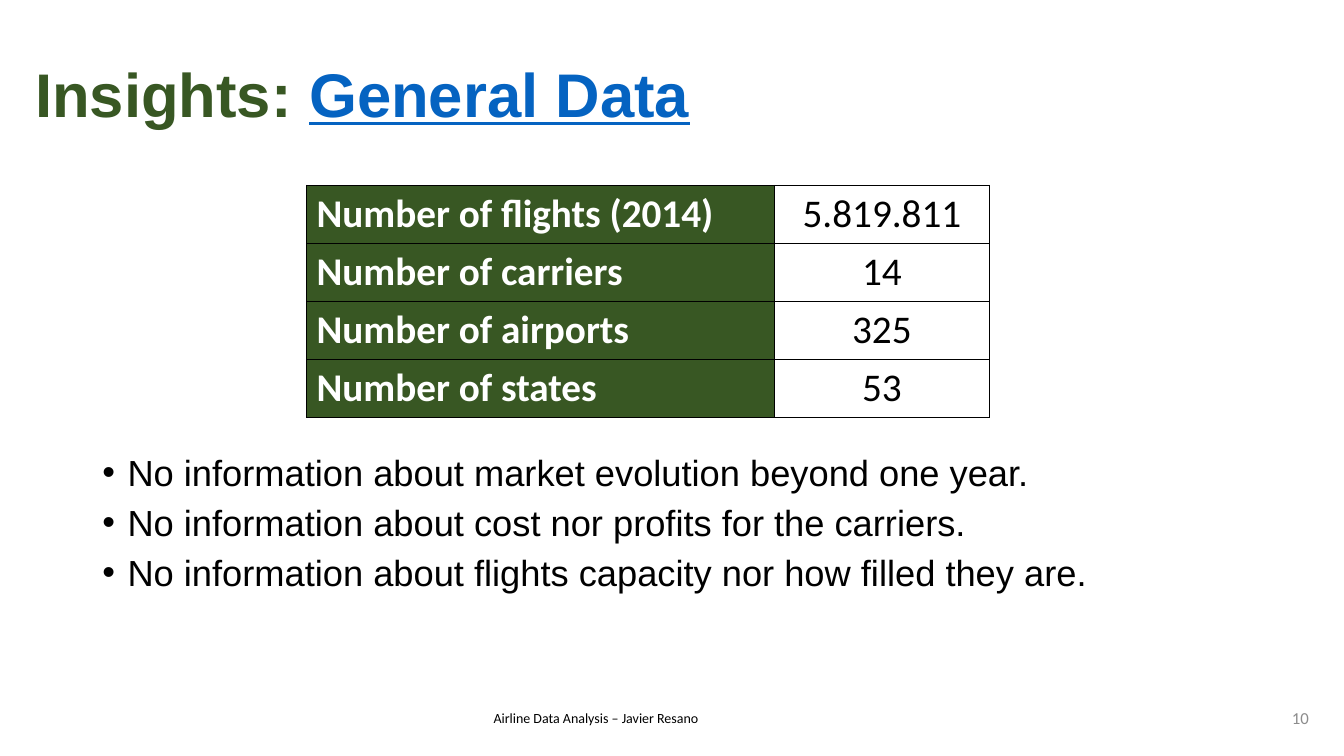
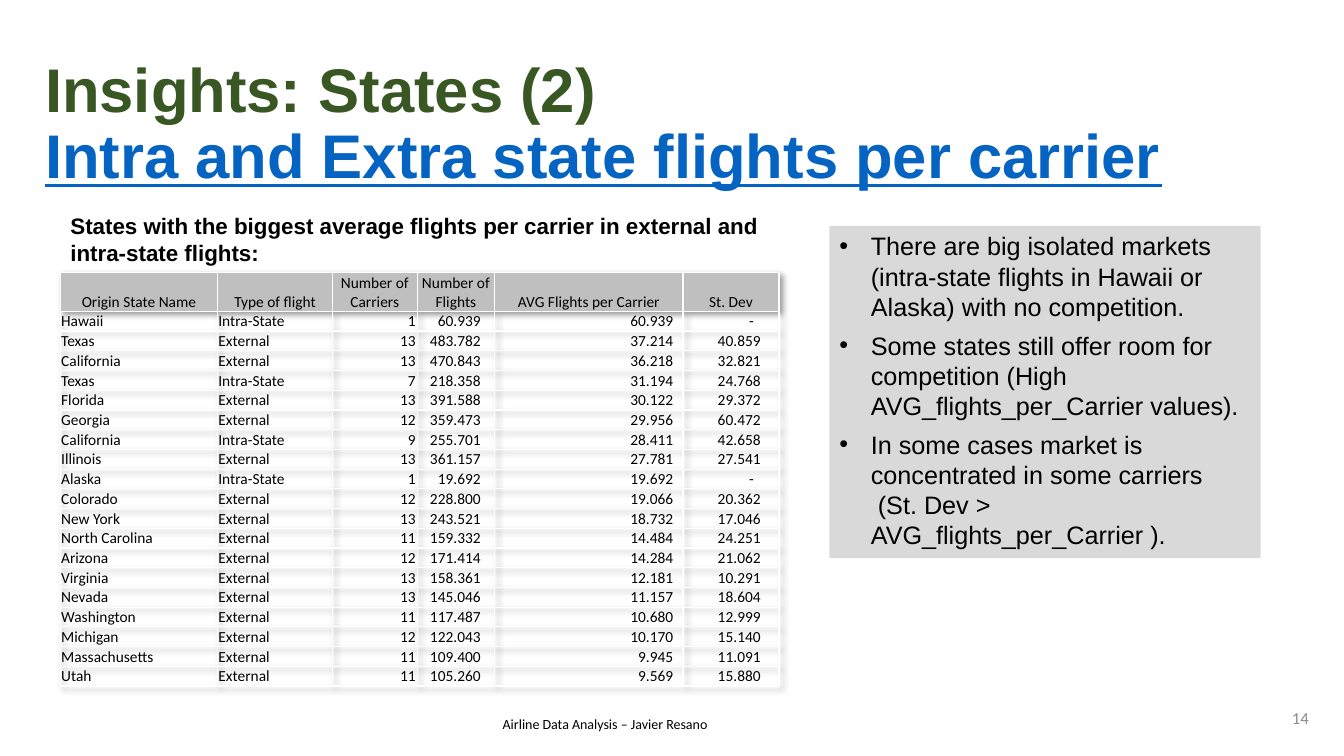
from pptx import Presentation
from pptx.dml.color import RGBColor
from pptx.enum.shapes import MSO_SHAPE
from pptx.enum.text import MSO_ANCHOR, MSO_AUTO_SIZE, PP_ALIGN
from pptx.oxml import parse_xml
from pptx.oxml.ns import nsdecls
from pptx.util import Pt

GREEN = RGBColor(0x38, 0x57, 0x23)
LINK = RGBColor(0x05, 0x63, 0xC1)
BLACK = RGBColor(0, 0, 0)
WHITE = RGBColor(255, 255, 255)
MUTED = RGBColor(0x8C, 0x8C, 0x8C)
HEADER = RGBColor(0xBF, 0xBF, 0xBF)
PANEL = RGBColor(0xD9, 0xD9, 0xD9)
NO_STYLE = "{2D5ABB26-0587-4C30-8999-92F81FD0307C}"
LEFT, CENTER, RIGHT = PP_ALIGN.LEFT, PP_ALIGN.CENTER, PP_ALIGN.RIGHT

# Text formats
TITLE = dict(name="Arial", size=Pt(44), bold=True, color=GREEN)
TITLE_LINK = dict(TITLE, color=LINK, underline=True)
BODY = dict(name="Arial", size=Pt(25.9), color=BLACK)
NOTE = dict(name="Arial", size=Pt(18), color=BLACK)
CAPTION = dict(name="Arial", size=Pt(16), bold=True, color=BLACK)
FOOTER = dict(name="Calibri", size=Pt(10), color=BLACK)
NUMBER = dict(name="Calibri", size=Pt(12), color=MUTED)
FACT = dict(name="Calibri", size=Pt(28), color=BLACK)
FACT_LABEL = dict(FACT, bold=True, color=WHITE)
STATE = dict(name="Calibri", size=Pt(11), color=BLACK)

# Content
FOOTER_TEXT = "Airline Data Analysis – Javier Resano"
FACTS = [
    ("Number of flights (2014)", "5.819.811"),
    ("Number of carriers", "14"),
    ("Number of airports", "325"),
    ("Number of states", "53"),
]
LIMITS = [
    "No information about market evolution beyond one year.",
    "No information about cost nor profits for the carriers.",
    "No information about flights capacity nor how filled they are.",
]
STATES_CAPTION = ("States with the biggest average flights per carrier "
                  "in external and intra-state flights:")
# Heading, width, alignment of the values, right margin of the values
STATE_COLS = [
    ("Origin State Name", 112.3, LEFT, 1),
    ("Type of flight", 82, LEFT, 1),
    ("Number of Carriers", 60.5, RIGHT, 1),
    ("Number of Flights", 55.5, RIGHT, 10),
    ("AVG Flights per Carrier", 134.5, RIGHT, 7),
    ("St. Dev", 68.5, RIGHT, 13),
]
STATES = [
    ("Hawaii", "Intra-State", "1", "60.939", "60.939", "-"),
    ("Texas", "External", "13", "483.782", "37.214", "40.859"),
    ("California", "External", "13", "470.843", "36.218", "32.821"),
    ("Texas", "Intra-State", "7", "218.358", "31.194", "24.768"),
    ("Florida", "External", "13", "391.588", "30.122", "29.372"),
    ("Georgia", "External", "12", "359.473", "29.956", "60.472"),
    ("California", "Intra-State", "9", "255.701", "28.411", "42.658"),
    ("Illinois", "External", "13", "361.157", "27.781", "27.541"),
    ("Alaska", "Intra-State", "1", "19.692", "19.692", "-"),
    ("Colorado", "External", "12", "228.800", "19.066", "20.362"),
    ("New York", "External", "13", "243.521", "18.732", "17.046"),
    ("North Carolina", "External", "11", "159.332", "14.484", "24.251"),
    ("Arizona", "External", "12", "171.414", "14.284", "21.062"),
    ("Virginia", "External", "13", "158.361", "12.181", "10.291"),
    ("Nevada", "External", "13", "145.046", "11.157", "18.604"),
    ("Washington", "External", "11", "117.487", "10.680", "12.999"),
    ("Michigan", "External", "12", "122.043", "10.170", "15.140"),
    ("Massachusetts", "External", "11", "109.400", "9.945", "11.091"),
    ("Utah", "External", "11", "105.260", "9.569", "15.880"),
]
FINDINGS = [
    "There are big isolated markets (intra-state flights in Hawaii or Alaska) "
    "with no competition.",
    "Some states still offer room for competition "
    "(High AVG_flights_per_Carrier values).",
    "In some cases market is concentrated in some carriers\v "
    "(St. Dev > AVG_flights_per_Carrier ).",
]


def style(font, fmt):
    for key, value in fmt.items():
        if key == "color":
            font.color.rgb = value
        else:
            setattr(font, key, value)


def write(p, text, fmt, align=LEFT):
    p.alignment = align
    for i, line in enumerate(text.split("\v")):
        if i:
            p.add_line_break()
        r = p.add_run()
        r.text = line
        style(r.font, fmt)


def add_text(s, box, text, fmt, align=LEFT, anchor=MSO_ANCHOR.TOP):
    tf = s.shapes.add_textbox(*map(Pt, box)).text_frame
    tf.word_wrap = True
    tf.vertical_anchor = anchor
    write(tf.paragraphs[0], text, fmt, align)


def add_bullets(tf, items, fmt, indent, after, line=1.0):
    tf.word_wrap = True
    tf.vertical_anchor = MSO_ANCHOR.TOP
    for i, item in enumerate(items):
        p = tf.paragraphs[0] if i == 0 else tf.add_paragraph()
        write(p, item, fmt)
        p.line_spacing = line
        p.space_after = Pt(after)
        pPr = p._p.get_or_add_pPr()
        pPr.set("marL", str(Pt(indent)))
        pPr.set("indent", str(-Pt(indent)))
        pPr.append(parse_xml(f'<a:buFont {nsdecls("a")} typeface="Arial"/>'))
        pPr.append(parse_xml(f'<a:buChar {nsdecls("a")} char="•"/>'))


def add_table(s, left, top, widths, heights):
    table = s.shapes.add_table(
        len(heights), len(widths), Pt(left), Pt(top),
        Pt(sum(widths)), Pt(sum(heights))).table
    table.first_row = table.horz_banding = False
    table._tbl.tblPr[0].text = NO_STYLE
    for col, width in zip(table.columns, widths):
        col.width = Pt(width)
    for row, height in zip(table.rows, heights):
        row.height = Pt(height)
    return table


def fill_cell(cell, text, fmt, align, fill, border):
    write(cell.text_frame.paragraphs[0], text, fmt, align)
    tcPr = cell._tc.get_or_add_tcPr()
    for side in ("lnL", "lnR", "lnT", "lnB"):
        tcPr.append(parse_xml(
            f'<a:{side} {nsdecls("a")} w="{Pt(1)}"><a:solidFill>'
            f'<a:srgbClr val="{border}"/></a:solidFill></a:{side}>'))
    if fill is None:
        cell.fill.background()
    else:
        cell.fill.solid()
        cell.fill.fore_color.rgb = fill


def add_slide(prs, title_box, title_runs, number, footer_pos):
    s = prs.slides.add_slide(prs.slide_layouts[5])
    title = s.shapes.title
    title.left, title.top, title.width, title.height = map(Pt, title_box)
    tf = title.text_frame
    tf.word_wrap = True
    tf.auto_size = MSO_AUTO_SIZE.NONE
    tf.vertical_anchor = MSO_ANCHOR.MIDDLE
    p = tf.paragraphs[0]
    p.line_spacing = 0.9
    for text, fmt in title_runs:
        write(p, text, fmt)
    # Footer and slide number
    add_text(s, (*footer_pos, 235.5, 19.5), FOOTER_TEXT, FOOTER)
    add_text(s, (911, 498, 31, 29), number, NUMBER, RIGHT, MSO_ANCHOR.MIDDLE)
    return s


def general_slide(prs):
    s = add_slide(prs, (18, 29, 828, 81),
                  [("Insights: ", TITLE), ("General Data", TITLE_LINK)],
                  "10", (345.5, 503.5))
    # Key figures
    table = add_table(s, 219, 132.5, (334, 154), [41.4] * len(FACTS))
    for i, (label, value) in enumerate(FACTS):
        fill_cell(table.cell(i, 0), label, FACT_LABEL, LEFT, GREEN, BLACK)
        fill_cell(table.cell(i, 1), value, FACT, CENTER, None, BLACK)
    # Limits of the data
    box = s.shapes.add_textbox(Pt(66), Pt(324), Pt(780), Pt(107))
    add_bullets(box.text_frame, LIMITS, BODY, 18, 11, 0.8)


def states_slide(prs):
    s = add_slide(prs, (25, 37.5, 828, 104.5),
                  [("Insights: States (2)\v", TITLE),
                   ("Intra and Extra state flights per carrier", TITLE_LINK)],
                  "14", (352, 507.5))
    # State table
    table = add_table(s, 43.2, 194.4, [col[1] for col in STATE_COLS],
                      [28] + [14.1] * len(STATES))
    table._tbl.tblPr.insert(0, parse_xml(
        f'<a:effectLst {nsdecls("a")}><a:outerShdw blurRad="{Pt(4)}" '
        f'dist="{Pt(3)}" dir="2700000" algn="tl" rotWithShape="0">'
        '<a:prstClr val="black"><a:alpha val="40000"/></a:prstClr>'
        '</a:outerShdw></a:effectLst>'))
    rows = [[col[0] for col in STATE_COLS]] + STATES
    for i, row in enumerate(rows):
        for j, (text, (_, _, align, margin)) in enumerate(zip(row, STATE_COLS)):
            cell = table.cell(i, j)
            cell.vertical_anchor = MSO_ANCHOR.BOTTOM
            cell.margin_left = cell.margin_top = Pt(0.5)
            cell.margin_bottom = 0
            cell.margin_right = Pt(margin if i else 0.5)
            if text == "-":
                cell.margin_right = Pt(18)
            fill_cell(cell, text, STATE, align if i else CENTER,
                      None if i else HEADER, WHITE)
    # Findings panel
    panel = s.shapes.add_shape(MSO_SHAPE.RECTANGLE, Pt(592.5), Pt(161.3),
                               Pt(308), Pt(237.5))
    panel.shadow.inherit = False
    panel.fill.solid()
    panel.fill.fore_color.rgb = PANEL
    panel.line.fill.background()
    add_bullets(panel.text_frame, FINDINGS, NOTE, 22.5, 6)
    # Table caption
    add_text(s, (43.2, 148.3, 514, 46), STATES_CAPTION, CAPTION)


def main():
    prs = Presentation()
    prs.slide_width, prs.slide_height = Pt(960), Pt(540)
    general_slide(prs)
    states_slide(prs)
    prs.save("out.pptx")


if __name__ == "__main__":
    main()
